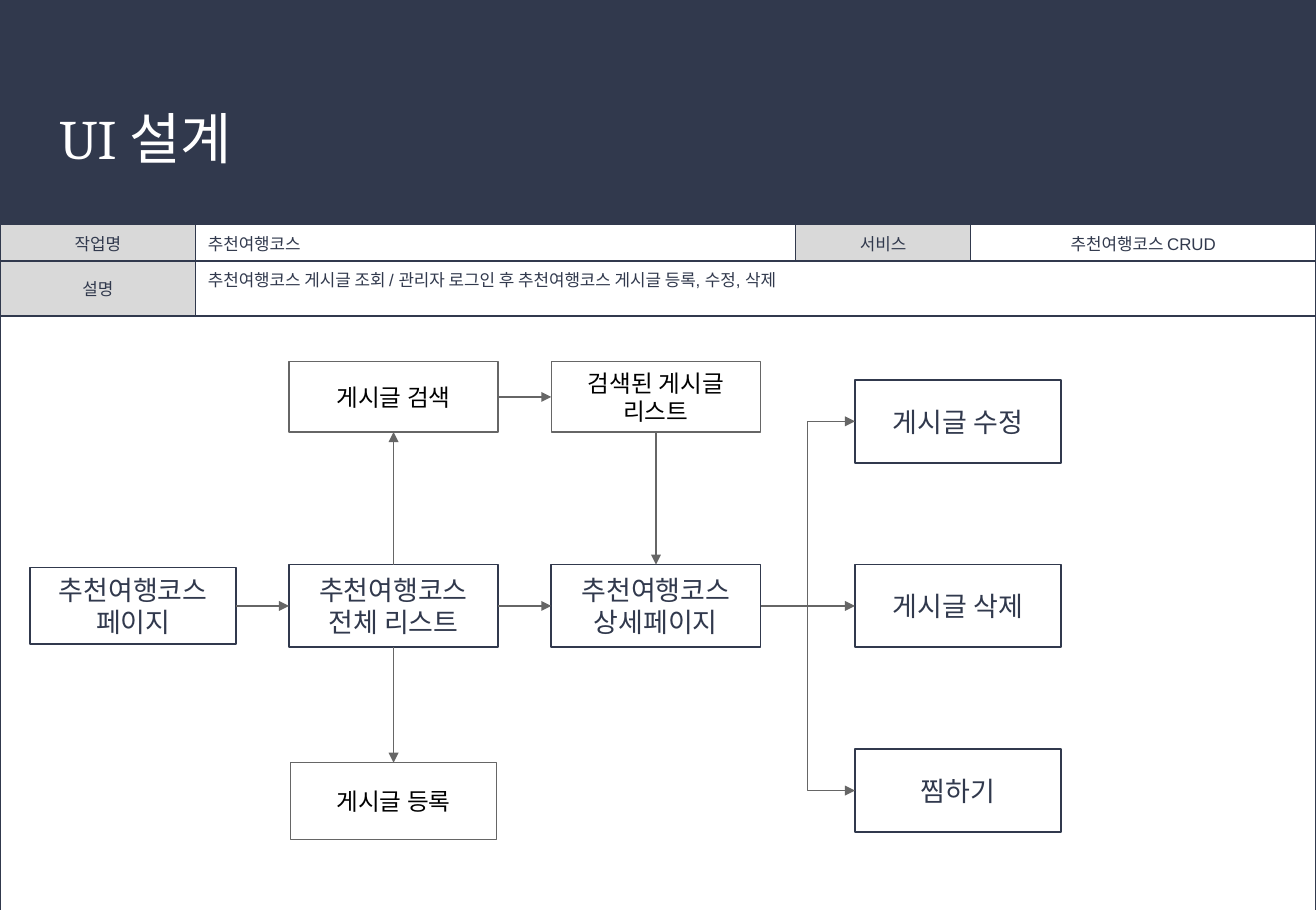
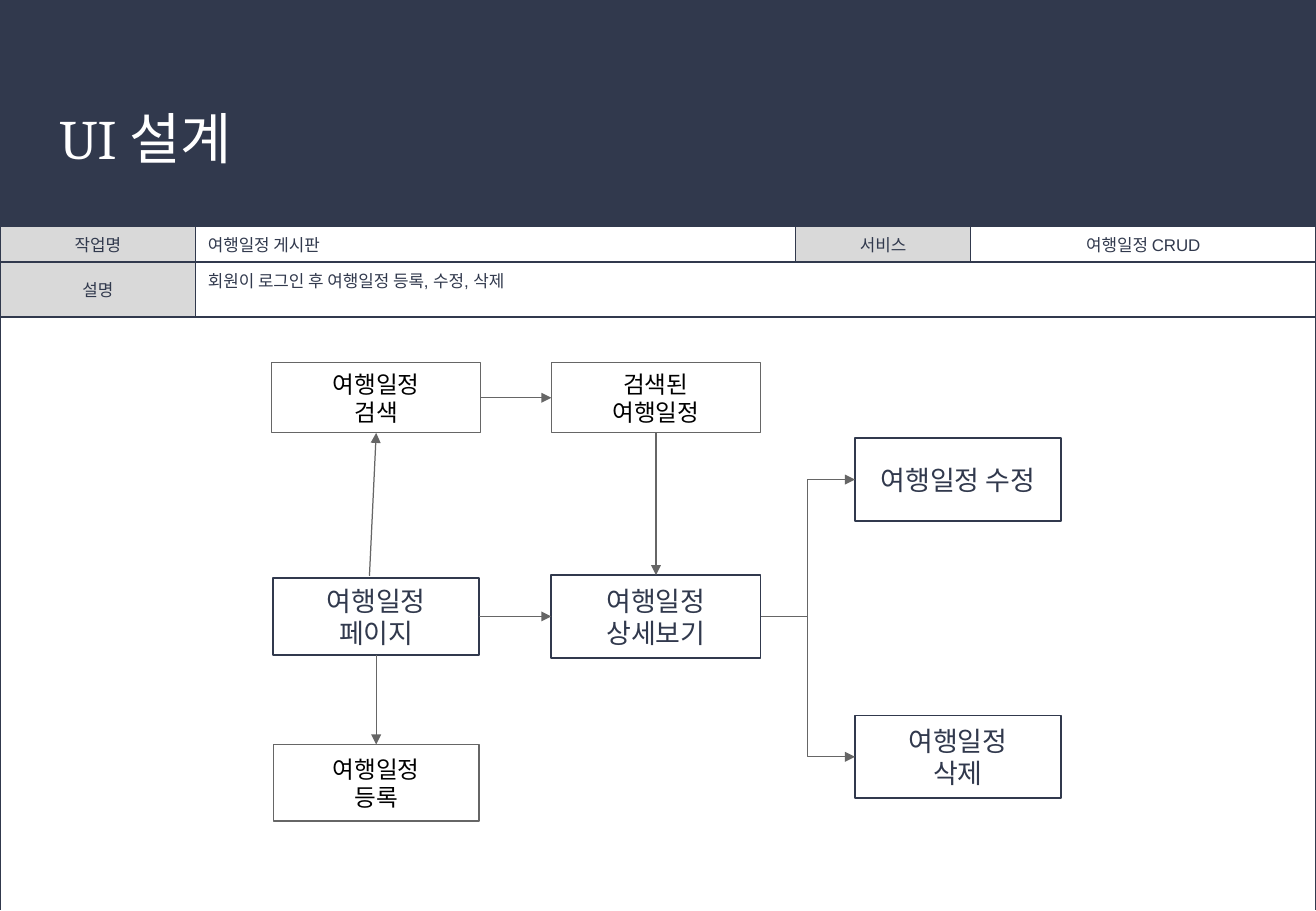
from lxml import etree
from pptx import Presentation
from pptx.dml.color import RGBColor
from pptx.enum import shapes, text
from pptx.oxml import ns
from pptx.util import Pt

NAVY = RGBColor(0x31, 0x39, 0x4D)
LABEL_GREY = RGBColor(0xD9, 0xD9, 0xD9)
LINE_GREY = RGBColor(0x66, 0x66, 0x66)
WHITE = RGBColor(0xFF, 0xFF, 0xFF)
BLACK = RGBColor(0, 0, 0)

WIDTH, HEIGHT, BAND_HEIGHT = 780, 540, 134
TITLE = "UI 설계"
COLUMN_WIDTHS = (116, 355.6, 103.7, 204.7)
HEADER_ROWS = (21.5, 32.6)
TOP, LEFT, BOTTOM, RIGHT = range(4)  # connection sites

# Box kinds: width, height, is a main step
KINDS = {
    "page": (122, 45.4, True),
    "view": (124, 49, True),
    "action": (122, 49, True),
    "search": (124, 41.6, False),
    "entry": (122, 45.4, False),
}
DETAIL_X, ACTION_X = 388.8, 567.8  # column centres on both slides

# Boxes: name -> kind, centre x, centre y, text
# Arrows: start box (or point), its side, end box, its side
SLIDES = [
    {
        "table_top": 133.2,
        "task": "추천여행코스",
        "service": "추천여행코스 CRUD",
        "description": "추천여행코스 게시글 조회 / 관리자 로그인 후 추천여행코스 게시글 등록, 수정, 삭제",
        "boxes": {
            "page": ("page", 79, 359.2, "추천여행코스\n페이지"),
            "list": ("view", 233.3, 359.2, "추천여행코스\n전체 리스트"),
            "detail": ("view", DETAIL_X, 359.2, "추천여행코스 상세페이지"),
            "edit": ("action", ACTION_X, 249.8, "게시글 수정"),
            "delete": ("action", ACTION_X, 359.2, "게시글 삭제"),
            "like": ("action", ACTION_X, 468.6, "찜하기"),
            "search": ("search", 233.3, 235.3, "게시글 검색"),
            "found": ("search", DETAIL_X, 235.3, "검색된 게시글\n리스트"),
            "register": ("entry", 233.3, 474.8, "게시글 등록"),
        },
        "arrows": [
            ("page", RIGHT, "list", LEFT),
            ("list", RIGHT, "detail", LEFT),
            ("detail", RIGHT, "edit", LEFT),
            ("detail", RIGHT, "delete", LEFT),
            ("detail", RIGHT, "like", LEFT),
            ("list", TOP, "search", BOTTOM),
            ("list", BOTTOM, "register", TOP),
            ("search", RIGHT, "found", LEFT),
            ("found", BOTTOM, "detail", TOP),
        ],
    },
    {
        "table_top": 133.9,
        "task": "여행일정 게시판",
        "service": "여행일정 CRUD",
        "description": "회원이 로그인 후 여행일정 등록, 수정, 삭제",
        "boxes": {
            "page": ("page", 223, 365.4, "여행일정\n페이지"),
            "detail": ("view", DETAIL_X, 365.4, "여행일정\n상세보기"),
            "edit": ("action", ACTION_X, 284.3, "여행일정 수정"),
            "delete": ("action", ACTION_X, 448.6, "여행일정\n삭제"),
            "search": ("search", 223, 235.8, "여행일정\n검색"),
            "found": ("search", DETAIL_X, 235.8, "검색된\n여행일정"),
            "register": ("entry", 223, 464, "여행일정\n등록"),
        },
        "arrows": [
            ("page", RIGHT, "detail", LEFT),
            ("detail", RIGHT, "edit", LEFT),
            ("detail", RIGHT, "delete", LEFT),
            ((219, 341.3), TOP, "search", BOTTOM),
            ("page", BOTTOM, "register", TOP),
            ("search", RIGHT, "found", LEFT),
            ("found", BOTTOM, "detail", TOP),
        ],
    },
]


def set_text(frame, content, font_name, size, color, centred=True):
    frame.word_wrap = True
    frame.text = content
    for paragraph in frame.paragraphs:
        paragraph.alignment = text.PP_ALIGN.CENTER if centred else text.PP_ALIGN.LEFT
        for run in paragraph.runs:
            run.font.name = font_name
            run.font.size = Pt(size)
            run.font.color.rgb = color


def set_margins(frame, horizontal, vertical):
    frame.margin_left = frame.margin_right = Pt(horizontal)
    frame.margin_top = frame.margin_bottom = Pt(vertical)


def add_rectangle(slide, left, top, width, height):
    shape = slide.shapes.add_shape(
        shapes.MSO_SHAPE.RECTANGLE, Pt(left), Pt(top), Pt(width), Pt(height))
    shape.shadow.inherit = False
    return shape


def add_heading(slide):
    band = add_rectangle(slide, 0, 0, WIDTH, BAND_HEIGHT)
    band.fill.solid()
    band.fill.fore_color.rgb = NAVY
    band.line.fill.background()
    title = slide.shapes.add_textbox(Pt(26.6), Pt(52.6), Pt(726.5), Pt(65.5))
    set_margins(title.text_frame, 8.64, 8.64)
    set_text(title.text_frame, TITLE, "Cambria", 33, WHITE, centred=False)


def set_borders(cell):
    """Left, right and top lines; the row below supplies the bottom one."""
    properties = cell._tc.get_or_add_tcPr()
    for index, side in enumerate(("lnL", "lnR", "lnT")):
        line = etree.Element(ns.qn("a:" + side), w=str(Pt(1)))
        fill = etree.SubElement(line, ns.qn("a:solidFill"))
        etree.SubElement(fill, ns.qn("a:srgbClr"), val=str(NAVY))
        properties.insert(index, line)


def add_task_table(slide, content):
    top = content["table_top"]
    heights = (*HEADER_ROWS, HEIGHT - top - sum(HEADER_ROWS))
    table = slide.shapes.add_table(
        len(heights), len(COLUMN_WIDTHS), Pt(0), Pt(top), Pt(WIDTH), Pt(HEIGHT - top)).table
    table.first_row = table.horz_banding = False
    for column, width in zip(table.columns, COLUMN_WIDTHS):
        column.width = Pt(width)
    for row, height in zip(table.rows, heights):
        row.height = Pt(height)
    table.cell(1, 1).merge(table.cell(1, 3))
    table.cell(2, 0).merge(table.cell(2, 3))

    # Text by cell: wording, centred, grey label
    texts = {
        (0, 0): ("작업명", True, True),
        (0, 1): (content["task"], False, False),
        (0, 2): ("서비스", True, True),
        (0, 3): (content["service"], True, False),
        (1, 0): ("설명", True, True),
        (1, 1): (content["description"], False, False),
        (2, 0): ("", False, False),
    }
    for position, (wording, centred, is_label) in texts.items():
        cell = table.cell(*position)
        set_text(cell.text_frame, wording, "Arial", 10, NAVY, centred)
        cell.vertical_anchor = text.MSO_ANCHOR.MIDDLE
        cell.fill.solid()
        cell.fill.fore_color.rgb = LABEL_GREY if is_label else WHITE
        set_borders(cell)
    table.cell(1, 1).vertical_anchor = text.MSO_ANCHOR.TOP


def add_box(slide, kind, center_x, center_y, wording):
    width, height, is_main = KINDS[kind]
    box = add_rectangle(slide, center_x - width / 2, center_y - height / 2, width, height)
    frame = box.text_frame
    frame.vertical_anchor = text.MSO_ANCHOR.MIDDLE
    if is_main:
        box.fill.background()
        box.line.color.rgb, box.line.width = NAVY, Pt(1)
        set_margins(frame, 7.2, 3.6)
        set_text(frame, wording, "Calibri", 16, NAVY)
    else:
        box.fill.solid()
        box.fill.fore_color.rgb = WHITE
        box.line.color.rgb, box.line.width = LINE_GREY, Pt(0.75)
        set_margins(frame, 7.2, 7.2)
        set_text(frame, wording, "Arial", 14, BLACK)
    return box


def add_arrow(slide, boxes, specs, start, start_side, end, end_side):
    joined = start in boxes
    bent = joined and start_side == RIGHT and specs[start][2] != specs[end][2]
    kind = shapes.MSO_CONNECTOR.ELBOW if bent else shapes.MSO_CONNECTOR.STRAIGHT
    x, y = (0, 0) if joined else start
    arrow = slide.shapes.add_connector(kind, Pt(x), Pt(y), Pt(x), Pt(y))
    if joined:
        arrow.begin_connect(boxes[start], start_side)
    arrow.end_connect(boxes[end], end_side)
    arrow.line.color.rgb, arrow.line.width = LINE_GREY, Pt(0.75)
    etree.SubElement(arrow.line._get_or_add_ln(), ns.qn("a:tailEnd"), type="triangle")
    etree.SubElement(arrow._element.spPr, ns.qn("a:effectLst"))


def main():
    presentation = Presentation()
    presentation.slide_width, presentation.slide_height = Pt(WIDTH), Pt(HEIGHT)
    for content in SLIDES:
        slide = presentation.slides.add_slide(presentation.slide_layouts[6])
        add_heading(slide)
        add_task_table(slide, content)
        # Flow chart
        specs = content["boxes"]
        boxes = {name: add_box(slide, *spec) for name, spec in specs.items()}
        for arrow in content["arrows"]:
            add_arrow(slide, boxes, specs, *arrow)
    presentation.save("out.pptx")


if __name__ == "__main__":
    main()
